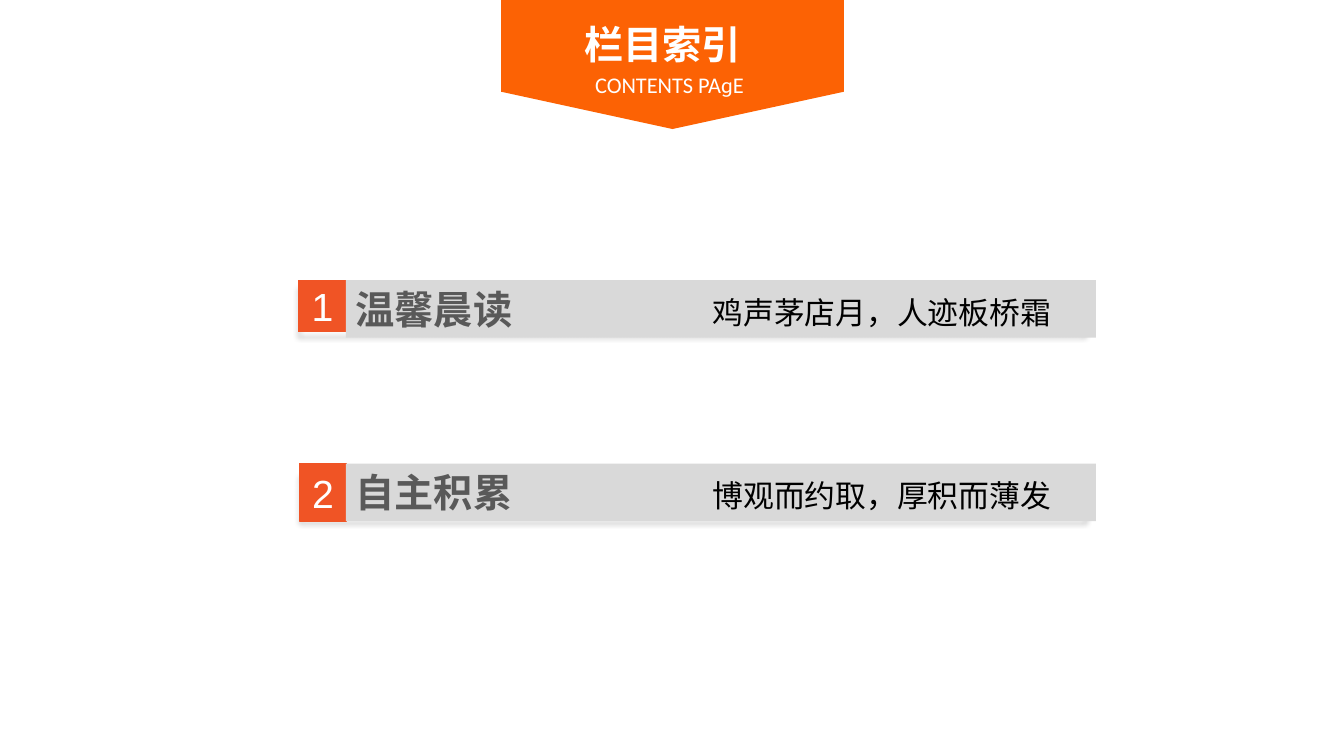
"""Build a contents slide with a banner and two numbered section bars."""
from dataclasses import dataclass

from lxml.etree import SubElement as Sub
from pptx import Presentation as Deck
from pptx.dml.color import RGBColor as Color
from pptx.enum.shapes import MSO_SHAPE as Kind
from pptx.enum.text import MSO_ANCHOR as Anchor, PP_ALIGN as Align
from pptx.oxml.ns import qn
from pptx.util import Inches, Pt

HUES = {"banner": "FC6204", "badge": "F05425", "bar": "D9D9D9",
        "title": "595959", "white": "FFFFFF", "black": "000000"}
HAN = "Noto Sans CJK SC"
BAR_X, BAR_W, BAR_H = 3.43, 7.44, 0.57


@dataclass
class Entry:
    num: str
    title: str
    verse: str
    left: float
    top: float
    height: float
    base_top: float
    base_height: float


ENTRIES = [
    Entry("1", "温馨晨读", "鸡声茅店月，人迹板桥霜", 2.96, 2.78, 0.51, 2.83, 0.46),
    Entry("2", "自主积累", "博观而约取，厚积而薄发", 2.97, 4.6, 0.57, 4.7, 0.44),
]


def hue(name: str) -> Color:
    return Color.from_string(HUES[name])


def write(para, text: str, *, size: float, color: str, font: str = HAN,
          bold: bool = False) -> None:
    run = para.add_run()
    run.text = text
    run.font.size = Pt(size)
    run.font.bold = bold
    run.font.color.rgb = hue(color)
    run.font.name = font
    Sub(run.font._element, qn("a:ea"), typeface=font)


def box(group, left: float, top: float, width: float, height: float,
        fill: str | None = None, line: str | None = None):
    shape = group.shapes.add_shape(Kind.RECTANGLE, Inches(left), Inches(top),
                                   Inches(width), Inches(height))
    shape.shadow.inherit = False
    if fill:
        shape.fill.solid()
        shape.fill.fore_color.rgb = hue(fill)
    else:
        shape.fill.background()
    if line:
        shape.line.color.rgb = hue(line)
        shape.line.width = Pt(1)
    else:
        shape.line.fill.background()
    return shape


def shade(shape) -> None:
    effects = shape._element.spPr.find(qn("a:effectLst"))
    outer = Sub(effects, qn("a:outerShdw"), blurRad=str(Pt(4)), dist=str(Pt(3)),
                dir="5400000", rotWithShape="0")
    tint = Sub(outer, qn("a:srgbClr"), val=HUES["black"])
    Sub(tint, qn("a:alpha"), val="40000")


def draw_entry(slide, entry: Entry) -> None:
    group = slide.shapes.add_group_shape()
    shade(box(group, entry.left, entry.base_top, 7.79, entry.base_height, line="badge"))

    badge = box(group, entry.left, entry.top, BAR_X + 0.01 - entry.left,
                entry.height, "badge", "badge")
    frame = badge.text_frame
    frame.margin_left = frame.margin_right = 0
    frame.vertical_anchor = Anchor.MIDDLE
    para = frame.paragraphs[0]
    para.alignment = Align.CENTER
    write(para, entry.num, size=28, color="white", font="Arial")

    frame = box(group, BAR_X, entry.top, BAR_W, BAR_H, "bar").text_frame
    frame.word_wrap = True
    frame.vertical_anchor = Anchor.TOP
    para = frame.paragraphs[0]
    para.alignment = Align.LEFT
    tabs = Sub(para._p.get_or_add_pPr(), qn("a:tabLst"))
    Sub(tabs, qn("a:tab"), pos=str(Inches(3.54)), algn="l")
    write(para, entry.title + "\t", size=28, color="title", bold=True)
    write(para, entry.verse, size=22, color="black")


def draw_banner(slide) -> None:
    left, right, edge, tip = 4.97, 8.37, 0.91, 1.28
    path = slide.shapes.build_freeform(Inches(left), 0)
    points = [(right, 0), (right, edge), ((left + right) / 2, tip), (left, edge)]
    path.add_line_segments([(Inches(x), Inches(y)) for x, y in points])
    flag = path.convert_to_shape()
    flag.shadow.inherit = False
    flag.fill.solid()
    flag.fill.fore_color.rgb = hue("banner")
    flag.line.fill.background()

    label = slide.shapes.add_textbox(Inches(left), Inches(0.1), Inches(3.2), Inches(0.93))
    frame = label.text_frame
    frame.word_wrap = True
    head, sub = frame.paragraphs[0], frame.add_paragraph()
    for para in (head, sub):
        para.alignment = Align.CENTER
        para.line_spacing = 1.12
    sub._p.get_or_add_pPr().set("marL", str(Inches(0.14)))
    write(head, "栏目索引", size=28, color="white", bold=True)
    write(sub, "CONTENTS PAɡE", size=16, color="white", font="Calibri")


def main() -> None:
    deck = Deck()
    deck.slide_width, deck.slide_height = Inches(13.33), Inches(7.5)
    slide = deck.slides.add_slide(deck.slide_layouts[6])
    for entry in ENTRIES:
        draw_entry(slide, entry)
    draw_banner(slide)
    deck.save("out.pptx")


if __name__ == "__main__":
    main()
